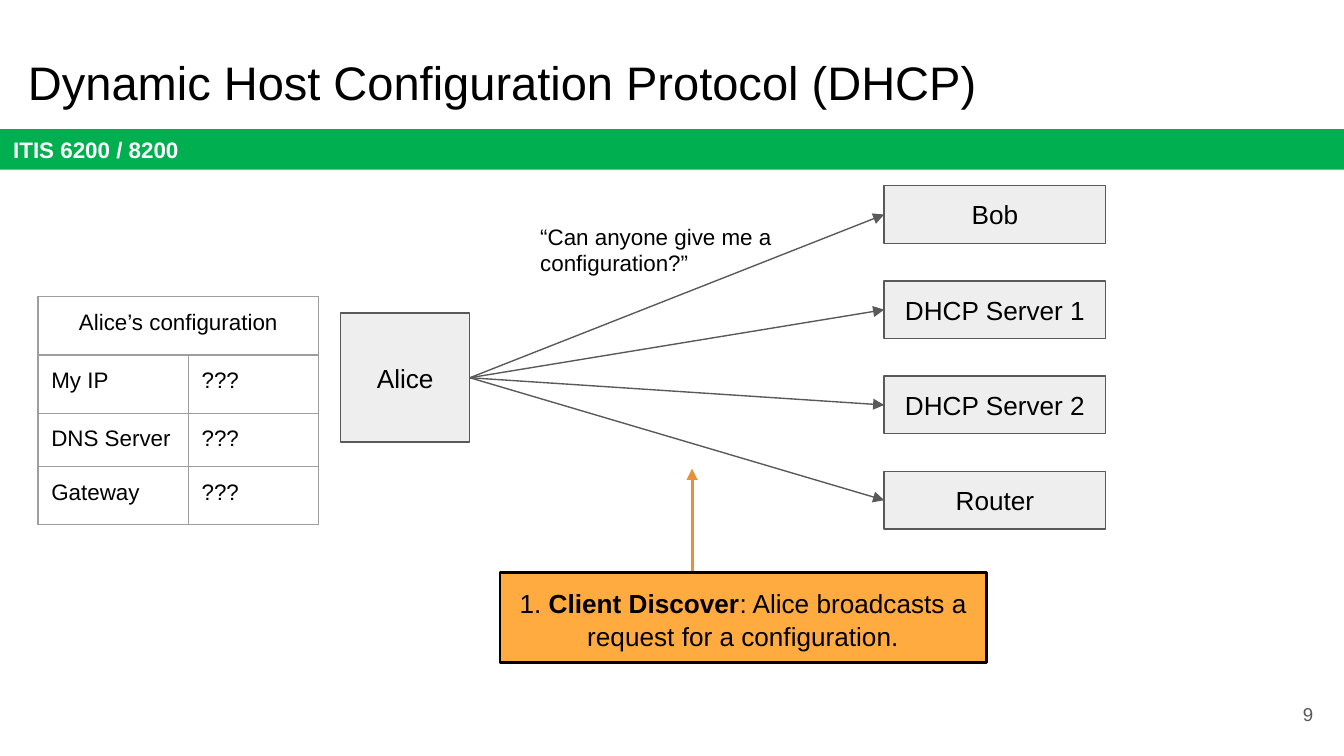
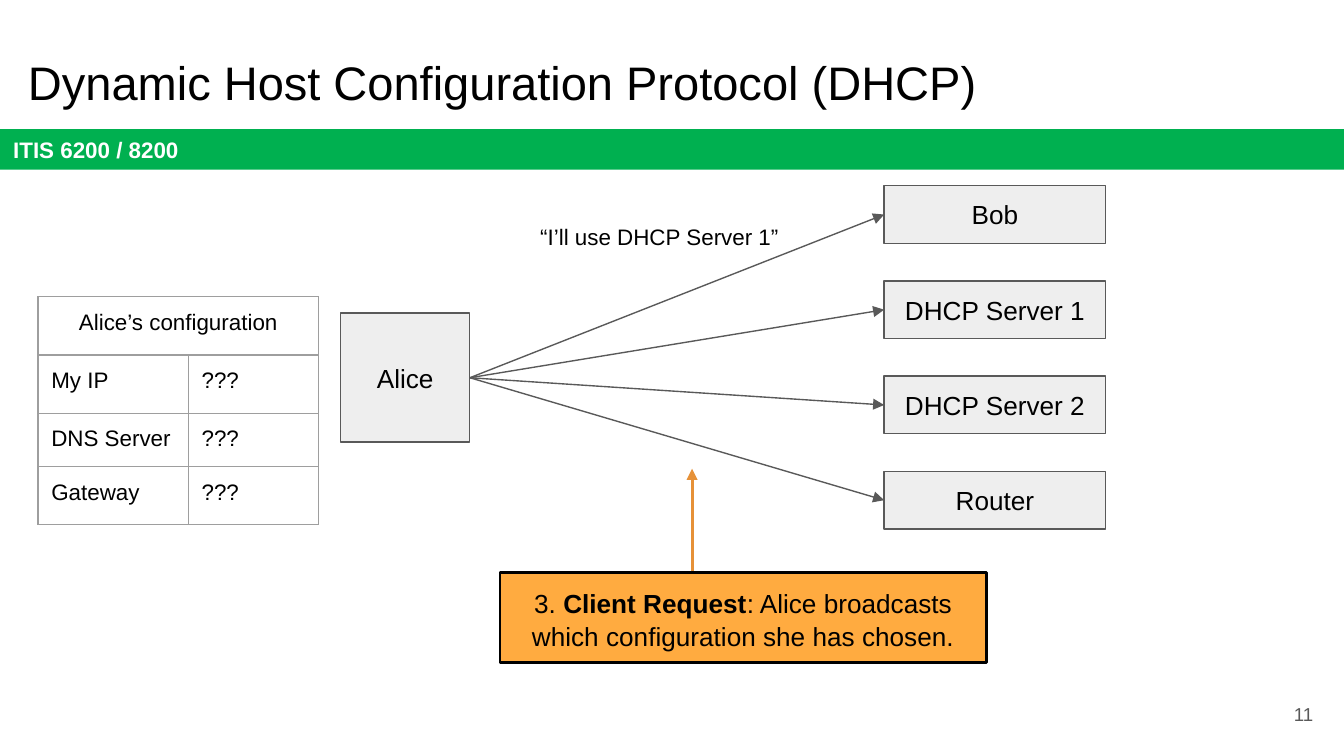
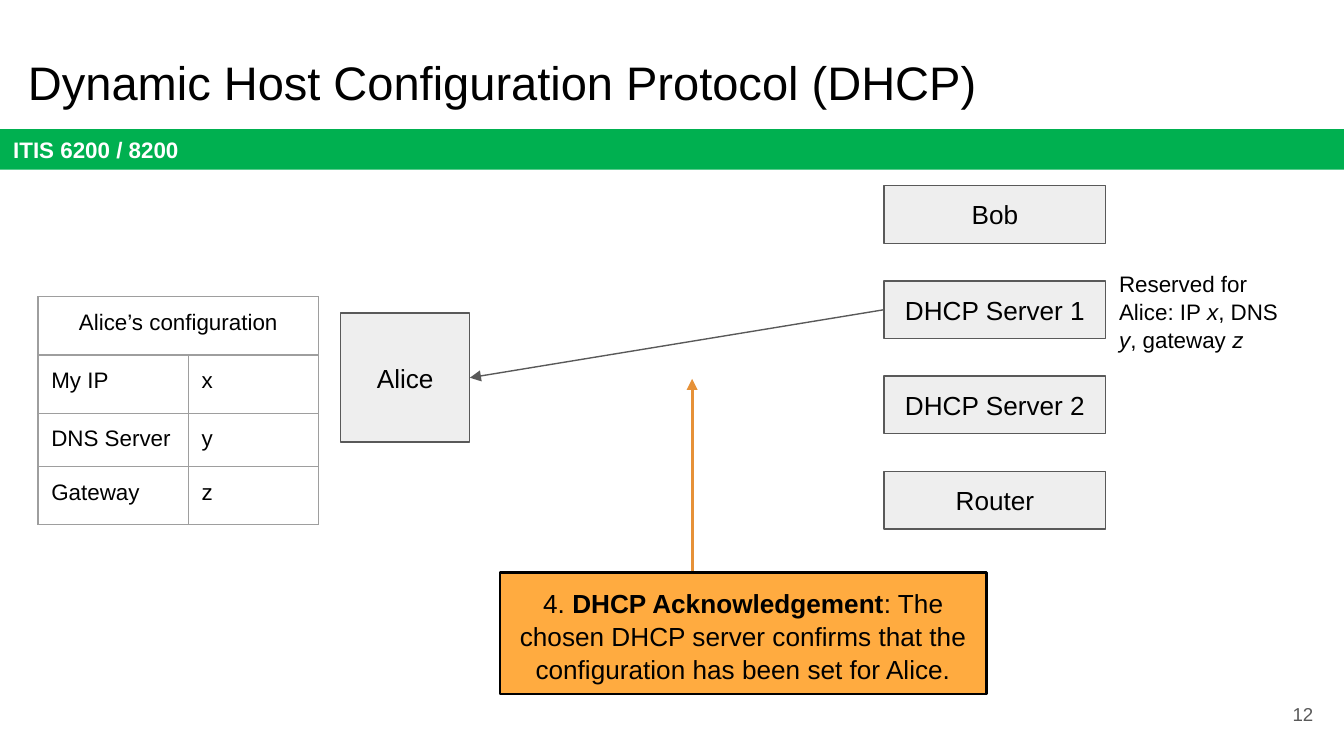
from dataclasses import dataclass

from lxml import etree
from pptx import Presentation
from pptx.dml.color import RGBColor
from pptx.enum.shapes import MSO_CONNECTOR, MSO_SHAPE
from pptx.enum.text import MSO_ANCHOR, MSO_AUTO_SIZE, PP_ALIGN
from pptx.oxml.ns import qn
from pptx.util import Cm, Pt

LEFT, MID, RIGHT = PP_ALIGN.LEFT, PP_ALIGN.CENTER, PP_ALIGN.RIGHT
TOP, CENTRE = MSO_ANCHOR.TOP, MSO_ANCHOR.MIDDLE
GROW = MSO_AUTO_SIZE.SHAPE_TO_FIT_TEXT
RECT, LINE = MSO_SHAPE.RECTANGLE, MSO_CONNECTOR.STRAIGHT


@dataclass(frozen=True)
class Theme:
    font: str = "Arial"
    ink: str = "000000"
    white: str = "FFFFFF"
    green: str = "00B050"
    grey: str = "595959"
    pale: str = "EEEEEE"
    grid: str = "9E9E9E"
    amber: str = "FFAB40"
    rust: str = "E69138"
    title: float = 25.2
    body: float = 14
    small: float = 12
    tiny: float = 10
    thin: float = 0.75
    thick: float = 1.5
    inset: float = 0.25


T = Theme()

# Content: text is a string or a list of (words, style) runs
TITLE = "Dynamic Host Configuration Protocol (DHCP)"
COURSE = "ITIS 6200 / 8200"
HOSTS = ["Bob", "DHCP Server 1", "DHCP Server 2", "Router"]
HEAD = "Alice’s configuration"
KEYS = ["My IP", "DNS Server", "Gateway"]
SLIDES = [
    {
        "page": "9",
        "values": ["???"] * 3,
        "step": [("1. ", ""), ("Client Discover", "b"),
                 (": Alice broadcasts a request for a configuration.", "")],
        "lines": 2,
        "tip": 8.86,
        "quote": "“Can anyone give me a configuration?”",
        "quote_h": 1.55,
    },
    {
        "page": "11",
        "values": ["???"] * 3,
        "step": [("3. ", ""), ("Client Request", "b"),
                 (": Alice broadcasts which configuration she has chosen.", "")],
        "lines": 2,
        "tip": 8.86,
        "quote": "“I’ll use DHCP Server 1”",
        "quote_h": 1.02,
    },
    {
        "page": "12",
        "values": ["x", "y", "z"],
        "step": [("4. ", ""), ("DHCP Acknowledgement", "b"),
                 (": The chosen DHCP server confirms that the configuration "
                  "has been set for Alice.", "")],
        "lines": 3,
        "tip": 7.16,
        "reply": "DHCP Server 1",
        "note": [("Reserved for Alice: IP ", ""), ("x", "i"), (", DNS ", ""),
                 ("y", "i"), (", gateway ", ""), ("z", "i")],
    },
]

# Layout in centimetres
WIDE, HIGH = 25.4, 14.29
HOST_X, HOST_Y, HOST_W, HOST_H, HOST_STEP = 16.71, 3.51, 4.19, 1.09, 1.8
STEP_X, STEP_Y, STEP_W, LINE_H = 9.45, 10.82, 9.19, 0.6
COLS, ROWS = [2.84, 2.46], [1.1, 1.1, 0.92, 1.1]


def paint(hue):
    return RGBColor.from_string(hue)


def write(frame, text, size=T.small, hue=T.ink, bold=False, align=LEFT, gap=None):
    """Put text, as one string or as styled runs, into a text frame."""
    para = frame.paragraphs[0]
    para.alignment = align
    if gap:
        para.line_spacing = gap
    for words, style in [(text, "")] if isinstance(text, str) else text:
        run = para.add_run()
        run.text = words
        font = run.font
        font.name, font.size = T.font, Pt(size)
        font.color.rgb = paint(hue)
        font.bold = bold or style == "b"
        font.italic = style == "i"


def pad(part):
    part.margin_left = part.margin_right = Cm(T.inset)
    part.margin_top = part.margin_bottom = Cm(T.inset)


def box(slide, text, at, fill=None, edge=None, width=T.thin, anchor=TOP,
        grow=False, **form):
    """Add a text box, or a rectangle when a fill is given."""
    place = [Cm(n) for n in at]
    if fill:
        shape = slide.shapes.add_shape(RECT, *place)
        shape.shadow.inherit = False
        shape.fill.solid()
        shape.fill.fore_color.rgb = paint(fill)
        if edge:
            shape.line.color.rgb = paint(edge)
            shape.line.width = Pt(width)
        else:
            shape.line.fill.background()
    else:
        shape = slide.shapes.add_textbox(*place)
    frame = shape.text_frame
    pad(frame)
    frame.word_wrap = True
    frame.vertical_anchor = anchor
    if grow:
        frame.auto_size = GROW
    write(frame, text, **form)
    return shape


def arrow(slide, hue, width, ends=(0, 0, 0, 0)):
    link = slide.shapes.add_connector(LINE, *[Cm(n) for n in ends])
    link.line.color.rgb = paint(hue)
    link.line.width = Pt(width)
    props = link.element.spPr
    etree.SubElement(props.find(qn("a:ln")), qn("a:tailEnd"), type="triangle")
    etree.SubElement(props, qn("a:effectLst"))
    return link


def join(slide, start, out, end, into):
    """Arrow between two boxes; sides count from the top: 1 left, 3 right."""
    link = arrow(slide, T.grey, T.thin)
    link.begin_connect(start, out)
    link.end_connect(end, into)


def border(cell):
    props = cell._tc.get_or_add_tcPr()
    for rank, side in enumerate(("lnL", "lnR", "lnT", "lnB")):
        edge = etree.Element(qn("a:" + side), w=str(Pt(T.thin)))
        fill = etree.SubElement(edge, qn("a:solidFill"))
        etree.SubElement(fill, qn("a:srgbClr"), val=T.grid)
        props.insert(rank, edge)


def config(slide, values):
    """Table of what Alice knows so far."""
    size = [Cm(n) for n in (0.72, 5.61, sum(COLS), sum(ROWS))]
    table = slide.shapes.add_table(len(ROWS), len(COLS), *size).table
    table.first_row = table.horz_banding = False
    for col, wide in zip(table.columns, COLS):
        col.width = Cm(wide)
    for row, high in zip(table.rows, ROWS):
        row.height = Cm(high)
    table.cell(0, 0).merge(table.cell(0, 1))
    for r, texts in enumerate([(HEAD, ""), *zip(KEYS, values)]):
        for c, text in enumerate(texts):
            cell = table.cell(r, c)
            pad(cell)
            cell.fill.background()
            border(cell)
            if text:
                write(cell.text_frame, text, align=LEFT if r else MID)


def frame_up(slide, page):
    """Band, title and page number."""
    box(slide, COURSE, (0, 2.44, WIDE, 0.77), fill=T.green, anchor=CENTRE,
        hue=T.white, bold=True)
    box(slide, TITLE, (0.28, 0.76, 23.67, 1.6), size=T.title)
    box(slide, page, (23.55, 12.95, 1.52, 1.09), anchor=CENTRE,
        size=T.tiny, hue=T.grey, align=RIGHT)


def node(slide, name, at):
    return box(slide, name, at, fill=T.pale, edge=T.grey, anchor=CENTRE,
               size=T.body, align=MID)


def build(deck, data):
    slide = deck.slides.add_slide(deck.slide_layouts[6])
    frame_up(slide, data["page"])
    alice = node(slide, "Alice", (6.44, 5.92, 2.44, 2.44))
    config(slide, data["values"])

    # Step callout and its pointer
    arrow(slide, T.rust, T.thick, (13.08, 11.4, 13.08, data["tip"]))
    high = 2 * T.inset + data["lines"] * LINE_H
    box(slide, data["step"], (STEP_X, STEP_Y, STEP_W, high), fill=T.amber,
        edge=T.ink, width=T.thick, grow=True, size=T.body, align=MID, gap=1.05)

    # Hosts on the network
    hosts = {}
    for i, name in enumerate(HOSTS):
        top = HOST_Y + i * HOST_STEP
        hosts[name] = node(slide, name, (HOST_X, top, HOST_W, HOST_H))

    # Messages: one reply, or a broadcast to all hosts
    if "reply" in data:
        join(slide, hosts[data["reply"]], 1, alice, 3)
        box(slide, data["note"], (HOST_X + HOST_W, 4.83, 3.89, 2.06),
            grow=True, gap=1.05)
    else:
        for host in hosts.values():
            join(slide, alice, 3, host, 1)
        box(slide, data["quote"], (9.96, 3.96, 5.23, data["quote_h"]), grow=True)


def main():
    deck = Presentation()
    deck.slide_width, deck.slide_height = Cm(WIDE), Cm(HIGH)
    for data in SLIDES:
        build(deck, data)
    deck.save("out.pptx")


if __name__ == "__main__":
    main()
